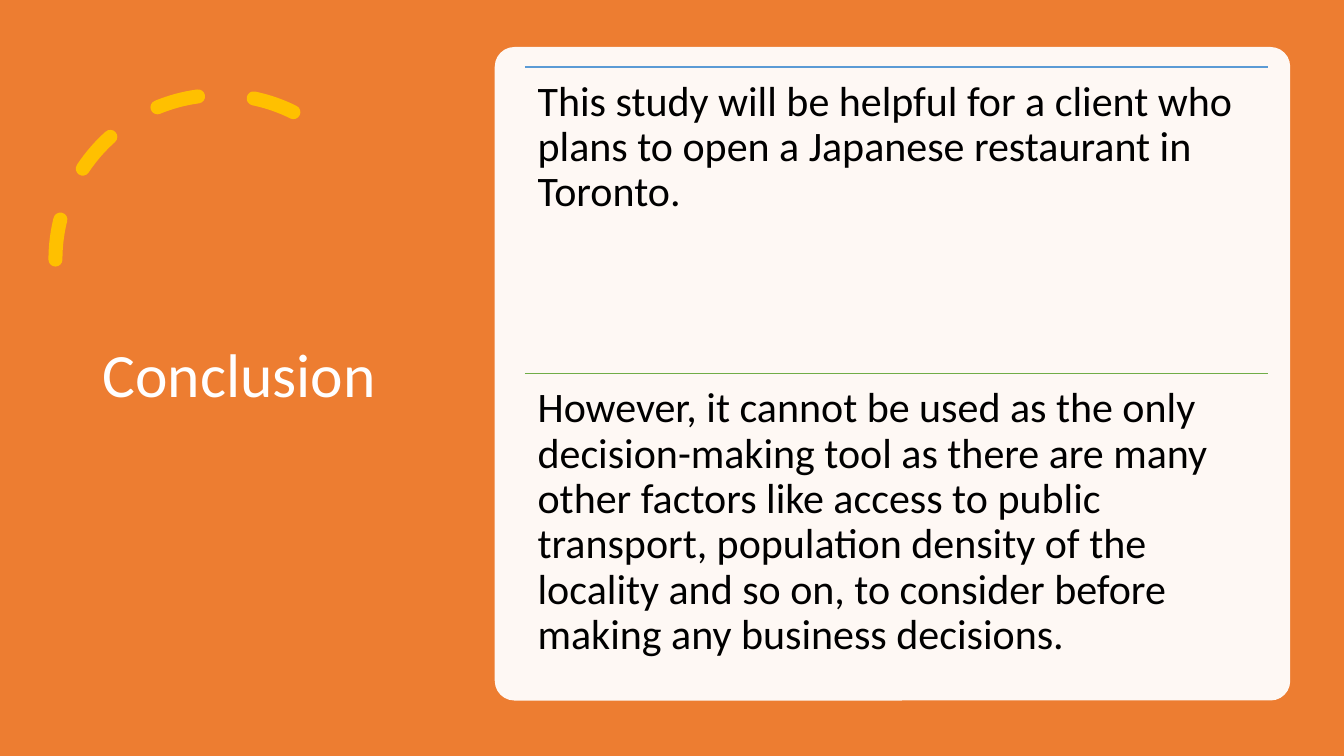
from lxml import etree
from pptx import Presentation
from pptx import util as u
from pptx.dml.color import RGBColor
from pptx.enum import dml, shapes, text
from pptx.oxml.ns import qn

COLS, ROWS = 160, 90
CELL = u.Inches(1 / 12)


class Theme:
    font = "Calibri"
    white, black = "FFFFFF", "000000"
    back, arc = "ED7D31", "FFC000"
    rules = "5B9BD5", "70AD47"
    title, body = 44, 30
    thick, thin = 10, 1


def cells(*nums):
    return [round(n * CELL) for n in nums]


def apply(obj, vals):
    for key, val in vals.items():
        setattr(obj, key, val)


class Deck:
    def __init__(self, theme):
        self.theme = theme
        self.prs = Presentation()
        apply(self.prs, dict(slide_width=COLS * CELL, slide_height=ROWS * CELL))
        self.slide = self.prs.slides.add_slide(self.prs.slide_layouts[3])
        self.items = self.slide.shapes

    def shape(self, kind, box, fill=None, adj=(), alpha=None):
        item = self.items.add_shape(kind, *cells(*box))
        item.shadow.inherit = False
        item.line.fill.background()
        for i, val in enumerate(adj):
            item.adjustments[i] = val
        if fill:
            item.fill.solid()
            item.fill.fore_color.rgb = RGBColor.from_string(fill)
        else:
            item.fill.background()
        if alpha:
            tint = next(item.element.spPr.iter(qn("a:srgbClr")))
            etree.SubElement(tint, qn("a:alpha")).set("val", str(alpha * 1000))
        return item

    def stroke(self, item, color, width):
        item.line.color.rgb = RGBColor.from_string(color)
        item.line.width = u.Pt(width)

    def arc(self, box, adj):
        item = self.shape(shapes.MSO_SHAPE.ARC, box, adj=adj)
        self.stroke(item, self.theme.arc, self.theme.thick)
        item.line.dash_style = dml.MSO_LINE.DASH
        props = item.element.spPr
        props.find(qn("a:ln")).set("cap", "rnd")
        props.find(qn("a:xfrm")).set("flipH", "1")

    def rule(self, x, y, w, color):
        item = self.items.add_connector(
            shapes.MSO_CONNECTOR.STRAIGHT, *cells(x, y, x + w, y))
        self.stroke(item, color, self.theme.thin)
        etree.SubElement(item.element.spPr, qn("a:effectLst"))

    def words(self, index, box, copy, size, color, anchor, pad, after=0):
        item = self.items.placeholders[index]
        self.items.element.append(item.element)
        apply(item, dict(zip(("left", "top", "width", "height"), cells(*box))))
        frame = item.text_frame
        frame.text = copy
        sides = ("left", "right", "top", "bottom")
        apply(frame, {f"margin_{side}": round(pad * CELL) for side in sides})
        apply(frame, dict(word_wrap=True, vertical_anchor=anchor,
                          auto_size=text.MSO_AUTO_SIZE.NONE))
        para = frame.paragraphs[0]
        apply(para, dict(alignment=text.PP_ALIGN.LEFT, line_spacing=0.9,
                         space_before=u.Pt(0), space_after=u.Pt(after)))
        props = para._p.get_or_add_pPr()
        for key in ("marL", "indent"):
            props.set(key, "0")
        etree.SubElement(props, qn("a:buNone"))
        font = para.runs[0].font
        apply(font, dict(name=self.theme.font, size=u.Pt(size)))
        font.color.rgb = RGBColor.from_string(color)

    def save(self):
        self.prs.save("out.pptx")


look = Theme()
deck = Deck(look)
kinds, anchors = shapes.MSO_SHAPE, text.MSO_ANCHOR
deck.shape(kinds.RECTANGLE, (0, 0, COLS, ROWS), look.back)
deck.arc((6.6, 11.3, 39.2, 39.2), (146.13, 0))
deck.words(0, (11, 8.4, 38.8, 73), "Conclusion", look.title, look.white,
           anchors.MIDDLE, 1.2)
deck.shape(kinds.ROUNDED_RECTANGLE, (58.9, 5.6, 94.7, 77.8), look.white,
           (0.03,), 95)

points = (
    "This study will be helpful for a client who plans to open a Japanese "
    "restaurant in Toronto. ",
    "However, it cannot be used as the only decision-making tool as there are "
    "many other factors like access to public transport, population density of "
    "the locality and so on, to consider before making any business decisions.",
)
left, top, wide, high = 62.5, 8, 88.4, 36.5
for i, (point, color) in enumerate(zip(points, look.rules)):
    y = top + i * high
    deck.rule(left, y, wide, color)
    deck.words(i + 1, (left, y, wide, high), point, look.body, look.black,
               anchors.TOP, 1.5, after=0.35 * look.body)
deck.save()
